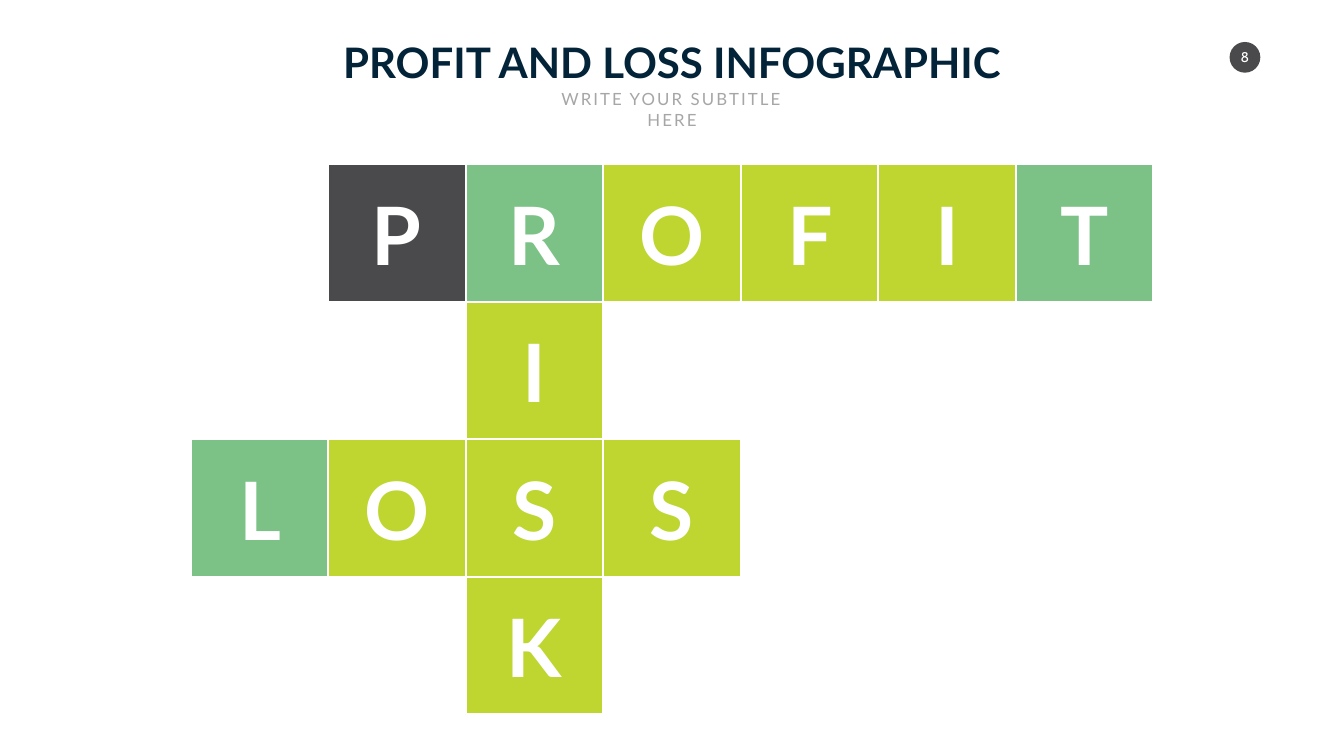
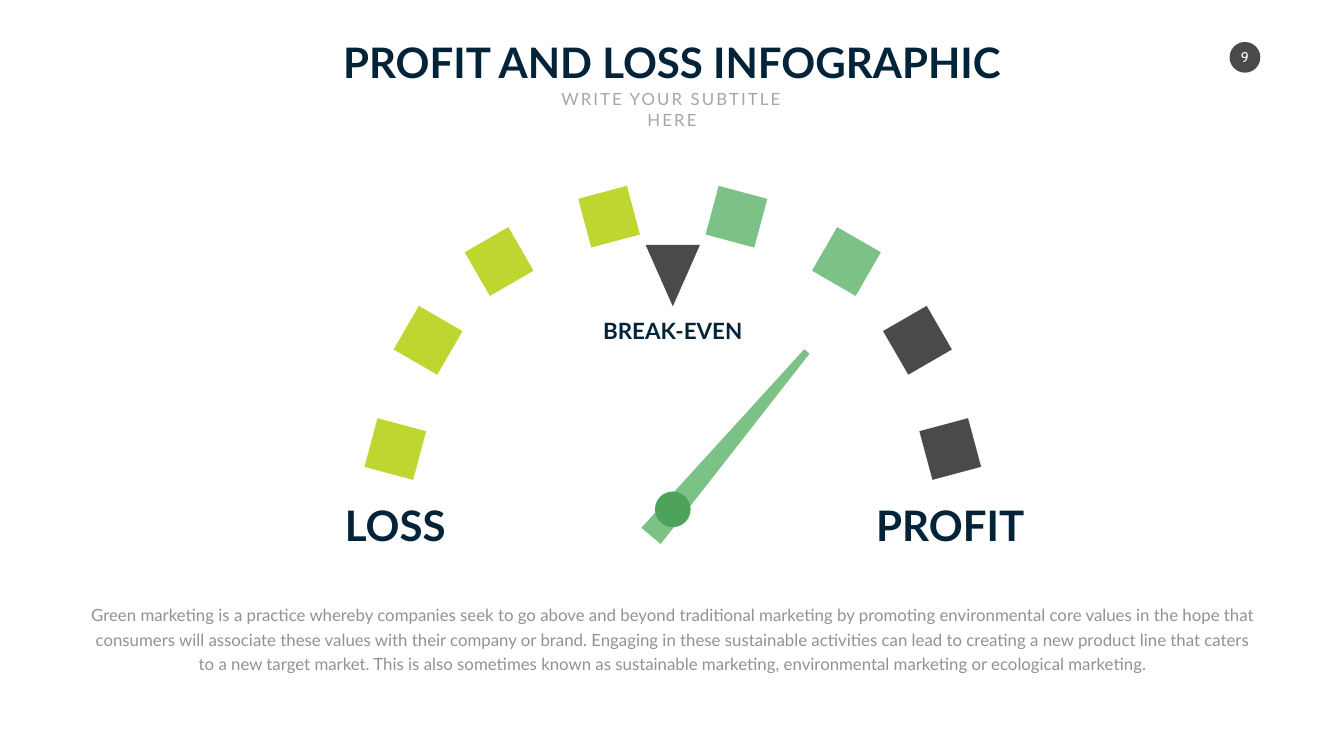
from pptx import Presentation
from pptx.dml.color import RGBColor
from pptx.enum.shapes import MSO_SHAPE as Shape
from pptx.enum.text import MSO_ANCHOR as Anchor, MSO_AUTO_SIZE as AutoSize, PP_ALIGN as Align
from pptx.util import Cm, Pt

# Shared look
COLORS = {
    "navy": "022338", "dark": "4A4A4C", "green": "7CC287", "hub": "4CA359",
    "lime": "BED62F", "white": "FFFFFF", "subtitle": "A6A6A6", "body": "929294",
}
STYLES = {
    "title": {"size": 60, "name": "Lato", "bold": True, "color": "navy"},
    "subtitle": {"size": 24, "name": "Lato", "color": "subtitle"},
    "page": {"size": 20, "name": "Cabin", "color": "white"},
    "letter": {"size": 115, "name": "Lato", "bold": True, "color": "white"},
    "mark": {"size": 32, "name": "Lato", "bold": True, "color": "navy"},
    "body": {"size": 24, "name": "Lato", "color": "body"},
}
WIDTH, HEIGHT = 67.72, 38.1
TITLE = "PROFIT AND LOSS INFOGRAPHIC"
SUBTITLE = "WRITE YOUR SUBTITLE HERE"

# Crossword: word, first column, row, column step, row step
WORDS = [
    ("RISK", 2, 0, 0, 1),
    ("PROFIT", 1, 0, 1, 0),
    ("LOSS", 0, 2, 1, 0),
]
TILE, GRID_LEFT, GRID_TOP = 6.93, 9.6, 8.28
LETTER_HEIGHT = 5.18
LETTER_WIDTHS = {"R": 3.18, "I": 1.73, "S": 3.02, "K": 3.38, "P": 3.18,
                 "O": 3.73, "F": 2.74, "T": 2.95, "L": 2.46}
TILE_COLORS = {(1, 0): "dark", (2, 0): "green", (6, 0): "green", (0, 2): "green"}

# Gauge: distance from axis, centre height, tilt of left block, right colour
AXIS = 33.9
BLOCK = 2.54
BLOCKS = [
    (3.21, 10.92, -15, "green"),
    (8.75, 13.18, -30, "green"),
    (12.33, 17.15, 30, "dark"),
    (13.98, 22.63, 15, "dark"),
]
ENDS = [("LOSS", -13.98, 5.84), ("PROFIT", 13.98, 8)]
BODY = (
    "Green marketing is a practice whereby companies seek to go above and beyond "
    "traditional marketing by promoting environmental core values in the hope that "
    "consumers will associate these values with their company or brand. Engaging in "
    "these sustainable activities can lead to creating a new product line that caters "
    "to a new target market. This is also sometimes known as sustainable marketing, "
    "environmental marketing or ecological marketing."
)


def rgb(name):
    return RGBColor.from_string(COLORS[name])


def add_box(s, kind, cx, cy, w, h, color, rotation=0, line=None):
    """Filled shape placed by its centre."""
    sp = s.shapes.add_shape(kind, Cm(cx - w / 2), Cm(cy - h / 2), Cm(w), Cm(h))
    sp.shadow.inherit = False
    sp.rotation = rotation
    sp.fill.solid()
    sp.fill.fore_color.rgb = rgb(color)
    if line:
        sp.line.color.rgb = rgb(line)
        sp.line.width = Pt(3)
    else:
        sp.line.fill.background()
    return sp


def add_text(s, text, cx, top, w, h, style, anchor=Anchor.TOP, wrap=False,
             margin=None, spacing=None, **paragraph):
    """Centred text box placed by its middle and top."""
    tf = s.shapes.add_textbox(Cm(cx - w / 2), Cm(top), Cm(w), Cm(h)).text_frame
    tf.word_wrap = wrap
    tf.auto_size = AutoSize.SHAPE_TO_FIT_TEXT
    tf.vertical_anchor = anchor
    if margin is not None:
        for side in ("left", "right", "top", "bottom"):
            setattr(tf, f"margin_{side}", Cm(margin))
    p = tf.paragraphs[0]
    p.alignment = Align.CENTER
    for key, value in paragraph.items():
        setattr(p, key, value)
    r = p.add_run()
    r.text = text
    for key, value in STYLES[style].items():
        if key == "color":
            r.font.color.rgb = rgb(value)
        else:
            setattr(r.font, key, Pt(value) if key == "size" else value)
    if spacing:
        r.font._element.set("spc", str(spacing * 100))


def new_slide(prs, number):
    s = prs.slides.add_slide(prs.slide_layouts[6])
    add_box(s, Shape.OVAL, 62.73, 2.89, 1.55, 1.55, "dark")
    add_text(s, str(number), 62.73, 2.46, 1.04, 0.86, "page", Anchor.MIDDLE, margin=0)
    return s


def add_header(s):
    add_text(s, TITLE, WIDTH / 2, 1.7, 34.26, 2.82, "title")
    add_text(s, SUBTITLE, WIDTH / 2, 4.37, 13.79, 1.27, "subtitle", wrap=True, spacing=3)


def build_crossword(prs):
    s = new_slide(prs, 8)
    placed = set()
    for word, col, row, col_step, row_step in WORDS:
        for i, letter in enumerate(word):
            cell = (col + i * col_step, row + i * row_step)
            if cell in placed:
                continue
            placed.add(cell)
            cx = GRID_LEFT + (cell[0] + 0.5) * TILE
            cy = GRID_TOP + (cell[1] + 0.5) * TILE
            add_box(s, Shape.RECTANGLE, cx, cy, TILE, TILE,
                    TILE_COLORS.get(cell, "lime"), line="white")
            add_text(s, letter, cx, cy - LETTER_HEIGHT / 2, LETTER_WIDTHS[letter],
                     LETTER_HEIGHT, "letter", Anchor.MIDDLE)
    add_header(s)


def build_gauge(prs):
    s = new_slide(prs, 9)
    add_header(s)
    # Mirrored scale blocks
    for offset, cy, tilt, right_color in BLOCKS:
        for side, color in ((-1, "lime"), (1, right_color)):
            add_box(s, Shape.RECTANGLE, AXIS + side * offset, cy, BLOCK, BLOCK,
                    color, rotation=-side * tilt)
    # Break-even marker and end labels
    add_box(s, Shape.ISOSCELES_TRIANGLE, AXIS, 13.89, 2.74, 3.1, "dark", rotation=180)
    for label, offset, w in ENDS:
        add_text(s, label, AXIS + offset, 25.04, w, 2.82, "title", Anchor.MIDDLE)
    add_text(s, "BREAK-EVEN", AXIS, 15.82, 7.85, 1.63, "mark", Anchor.BOTTOM)
    # Needle and hub
    needle = add_box(s, Shape.TRAPEZOID, 36.73, 22.36, 1.27, 12.17, "green", rotation=40.2)
    needle.adjustments[0] = 0.363
    add_box(s, Shape.OVAL, AXIS, 25.67, 1.8, 1.8, "hub")
    # Explanation
    add_text(s, BODY, 33.88, 30.15, 59.18, 3.86, "body", wrap=True,
             line_spacing=Pt(35), space_after=Pt(12))


def main():
    prs = Presentation()
    prs.slide_width, prs.slide_height = Cm(WIDTH), Cm(HEIGHT)
    build_crossword(prs)
    build_gauge(prs)
    prs.save("out.pptx")


if __name__ == "__main__":
    main()
